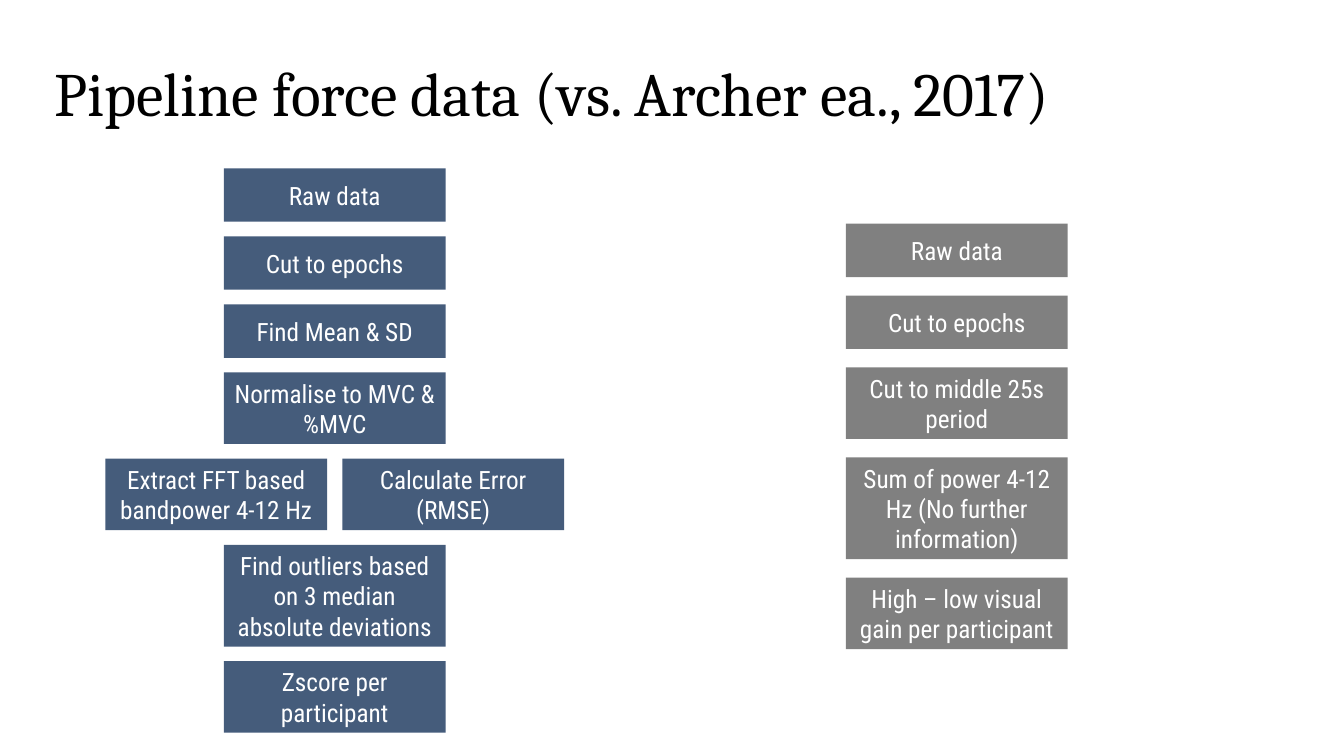
from dataclasses import dataclass

from pptx import Presentation, util as u
from pptx.dml.color import RGBColor
from pptx.enum import shapes, text


@dataclass(frozen=True)
class Theme:
    head: str = "Cambria"
    body: str = "Roboto Condensed"
    big: int = 44
    small: int = 18
    black: str = "000000"
    white: str = "FFFFFF"
    blue: str = "455C7B"
    gray: str = "808080"


THEME = Theme()
WIDE, HIGH = 13.33, 7.5
BOX = 2.2
PITCH = 2.35
TALL = {1: 0.53, 2: 0.71, 3: 1.01}

OURS = [
    (1, ["Raw data"]),
    (1, ["Cut to epochs"]),
    (1, ["Find Mean & SD"]),
    (2, ["Normalise to MVC & %MVC"]),
    (2, ["Extract FFT based bandpower 4-12 Hz", "Calculate Error (RMSE)"]),
    (3, ["Find outliers based on 3 median absolute deviations"]),
    (2, ["Zscore per participant"]),
]
THEIRS = [
    (1, ["Raw data"]),
    (1, ["Cut to epochs"]),
    (2, ["Cut to middle 25s period"]),
    (3, ["Sum of power 4-12 Hz (No further information)"]),
    (2, ["High – low visual gain per participant"]),
]


def style(para, face, size, color, align):
    para.alignment = align
    para.font.name = face
    para.font.size = u.Pt(size)
    para.font.color.rgb = RGBColor.from_string(color)


def add_title(slide, words):
    title = slide.shapes.title
    title.left, title.top = u.Inches(0.44), u.Inches(0.23)
    title.width, title.height = u.Inches(11.5), u.Inches(1.45)
    frame = title.text_frame
    frame.text = words
    frame.word_wrap = True
    frame.auto_size = text.MSO_AUTO_SIZE.NONE
    frame.vertical_anchor = text.MSO_ANCHOR.MIDDLE
    para = frame.paragraphs[0]
    para.line_spacing = 0.9
    style(para, THEME.head, THEME.big, THEME.black, text.PP_ALIGN.LEFT)


def add_step(slide, words, left, top, lines, fill):
    box = slide.shapes.add_shape(
        shapes.MSO_SHAPE.RECTANGLE,
        u.Inches(left), u.Inches(top), u.Inches(BOX), u.Inches(TALL[lines]))
    box.shadow.inherit = False
    box.fill.solid()
    box.fill.fore_color.rgb = RGBColor.from_string(fill)
    box.line.fill.background()
    frame = box.text_frame
    frame.text = words
    frame.word_wrap = True
    frame.vertical_anchor = text.MSO_ANCHOR.MIDDLE
    if lines > 1:
        frame.auto_size = text.MSO_AUTO_SIZE.SHAPE_TO_FIT_TEXT
    style(frame.paragraphs[0], THEME.body, THEME.small, THEME.white,
          text.PP_ALIGN.CENTER)


def add_flow(slide, steps, mid, top, end, fill):
    used = sum(TALL[lines] for lines, _ in steps)
    gap = (end - top - used) / (len(steps) - 1)
    for lines, names in steps:
        left = mid - BOX / 2 - PITCH * (len(names) - 1) / 2
        for col, words in enumerate(names):
            add_step(slide, words, left + col * PITCH, top, lines, fill)
        top += TALL[lines] + gap


def main():
    deck = Presentation()
    deck.slide_width, deck.slide_height = u.Inches(WIDE), u.Inches(HIGH)
    slide = deck.slides.add_slide(deck.slide_layouts[5])
    add_title(slide, "Pipeline force data (vs. Archer ea., 2017)")
    add_flow(slide, OURS, 3.32, 1.67, 7.27, THEME.blue)
    add_flow(slide, THEIRS, 9.49, 2.22, 6.44, THEME.gray)
    deck.save("out.pptx")


if __name__ == "__main__":
    main()
